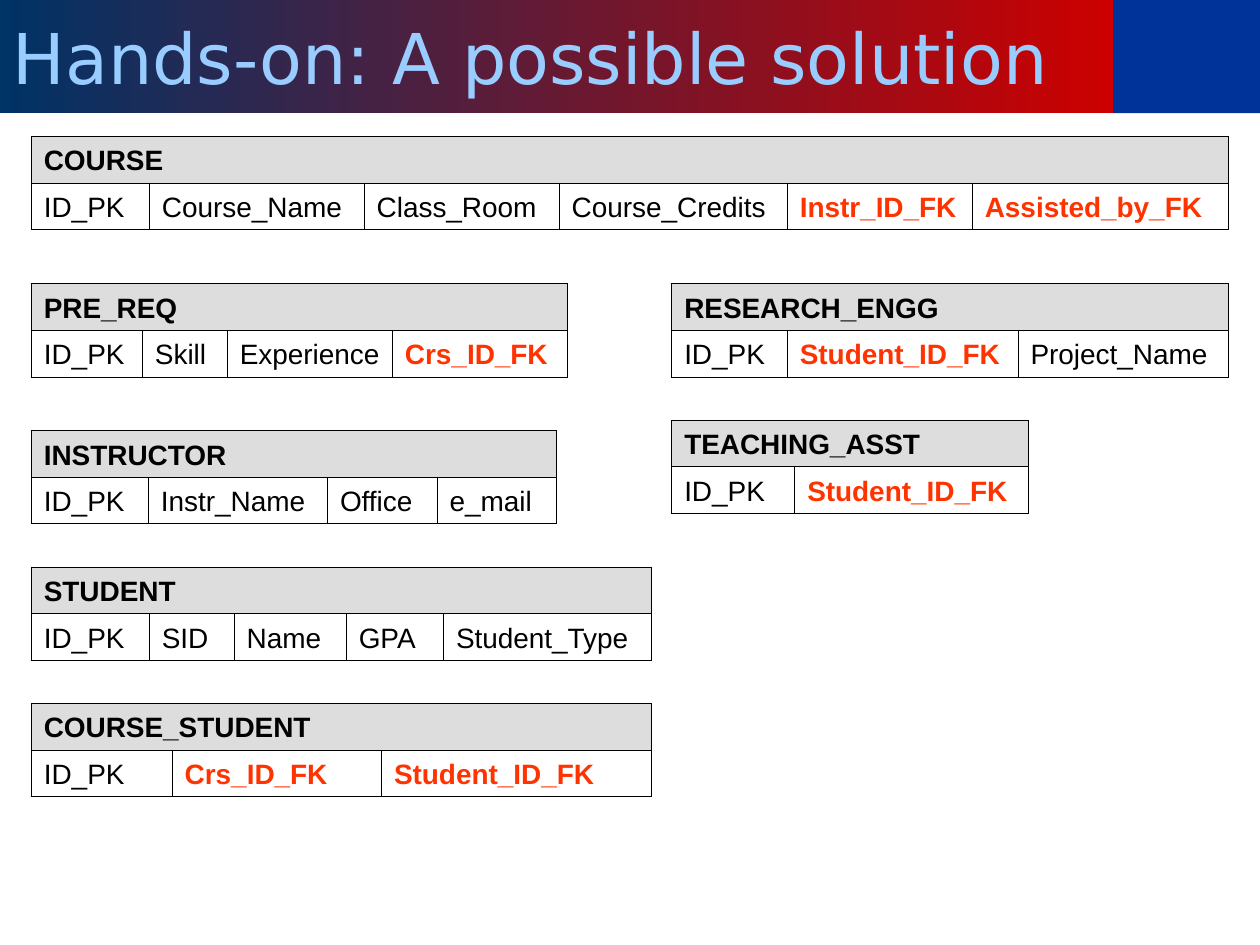
from dataclasses import dataclass

from lxml.etree import SubElement
from pptx import Presentation
from pptx.dml.color import RGBColor
from pptx.enum.shapes import MSO_SHAPE
from pptx.enum.text import MSO_ANCHOR, MSO_AUTO_SIZE, PP_ALIGN
from pptx.oxml.ns import qn
from pptx.util import Cm, Pt


@dataclass(frozen=True)
class Theme:
    """Colours, fonts and sizes of the slide."""
    title_font: str = "DejaVu Sans"
    body_font: str = "Arial"
    title_size: float = 40
    body_size: float = 16
    border_width: float = 0.45
    title_text: str = "99CCFF"
    band_start: str = "003366"
    band_end: str = "CC0000"
    corner: str = "003399"
    header_fill: str = "DDDDDD"
    text: str = "000000"
    foreign_key: str = "FF3300"


THEME = Theme()
LEFT, RIGHT = 0.63, 13.54
ROW_HEIGHT = 0.94
RELATIONS = [
    ("COURSE", LEFT, 2.75, [
        ("ID_PK", 2.38), ("Course_Name", 4.33), ("Class_Room", 3.93),
        ("Course_Credits", 4.6), ("Instr_ID_FK", 3.73), ("Assisted_by_FK", 5.16)]),
    ("PRE_REQ", LEFT, 5.72, [
        ("ID_PK", 2.24), ("Skill", 1.71), ("Experience", 3.33), ("Crs_ID_FK", 3.53)]),
    ("INSTRUCTOR", LEFT, 8.68, [
        ("ID_PK", 2.36), ("Instr_Name", 3.61), ("Office", 2.21), ("e_mail", 2.4)]),
    ("STUDENT", LEFT, 11.43, [
        ("ID_PK", 2.38), ("SID", 1.71), ("Name", 2.26), ("GPA", 1.96),
        ("Student_Type", 4.19)]),
    ("TEACHING_ASST", RIGHT, 8.47, [("ID_PK", 2.48), ("Student_ID_FK", 4.72)]),
    ("RESEARCH_ENGG", RIGHT, 5.72, [
        ("ID_PK", 2.33), ("Student_ID_FK", 4.65), ("Project_Name", 4.24)]),
    ("COURSE_STUDENT", LEFT, 14.18, [
        ("ID_PK", 2.84), ("Crs_ID_FK", 4.22), ("Student_ID_FK", 5.44)]),
]


def color(value):
    """Return the RGB colour for a hex string."""
    return RGBColor.from_string(value)


def style_span(span, font, size, value, bold=False):
    """Format one run of text."""
    span.font.name = font
    span.font.size = Pt(size)
    span.font.color.rgb = color(value)
    span.font.bold = bold


def add_title_band(page, text, left, top, width, height, corner_width):
    """Place the gradient title and the plain corner at its right end."""
    title_width = width - corner_width
    corner = page.shapes.add_shape(MSO_SHAPE.RECTANGLE, Cm(left + title_width), Cm(top),
                                   Cm(corner_width), Cm(height))
    corner.shadow.inherit = False
    corner.fill.solid()
    corner.fill.fore_color.rgb = color(THEME.corner)
    corner.line.fill.background()

    title = page.shapes.title
    title.left, title.top = Cm(left), Cm(top)
    title.width, title.height = Cm(title_width), Cm(height)
    title.fill.gradient()
    title.fill.gradient_angle = 0
    for stop, position, value in zip(title.fill.gradient_stops, (0, 1),
                                     (THEME.band_start, THEME.band_end)):
        stop.position = position
        stop.color.rgb = color(value)
    frame = title.text_frame
    frame.text = text
    frame.auto_size = MSO_AUTO_SIZE.NONE
    frame.vertical_anchor = MSO_ANCHOR.MIDDLE
    para = frame.paragraphs[0]
    para.alignment = PP_ALIGN.LEFT
    style_span(para.runs[0], THEME.title_font, THEME.title_size, THEME.title_text)


def add_borders(cell):
    """Draw a thin line on all four sides of a cell."""
    properties = cell._tc.get_or_add_tcPr()
    for side in ("a:lnL", "a:lnR", "a:lnT", "a:lnB"):
        line = SubElement(properties, qn(side), w=str(Pt(THEME.border_width)))
        fill = SubElement(line, qn("a:solidFill"))
        SubElement(fill, qn("a:srgbClr"), val=THEME.text)


def write_cell(cell, text, value, bold):
    """Set and format the text of a cell."""
    cell.text_frame.text = text
    cell.vertical_anchor = MSO_ANCHOR.BOTTOM
    style_span(cell.text_frame.paragraphs[0].runs[0], THEME.body_font,
               THEME.body_size, value, bold)


def add_relation(page, name, left, top, fields):
    """Place a relation: its name above a row of fields."""
    width = sum(field_width for _, field_width in fields)
    table = page.shapes.add_table(2, len(fields), Cm(left), Cm(top),
                                  Cm(width), Cm(2 * ROW_HEIGHT)).table
    table.first_row = table.horz_banding = False
    for row in table.rows:
        row.height = Cm(ROW_HEIGHT)
    for column, (field, field_width) in enumerate(fields):
        table.columns[column].width = Cm(field_width)
        cell = table.cell(1, column)
        add_borders(table.cell(0, column))
        add_borders(cell)
        cell.fill.background()
        is_foreign = field.endswith("_FK")
        write_cell(cell, field, THEME.foreign_key if is_foreign else THEME.text, is_foreign)
    header = table.cell(0, 0)
    header.merge(table.cell(0, len(fields) - 1))
    header.fill.solid()
    header.fill.fore_color.rgb = color(THEME.header_fill)
    write_cell(header, name, THEME.text, True)


def main():
    """Build the deck and save it."""
    deck = Presentation()
    deck.slide_width, deck.slide_height = Cm(25.4), Cm(19.05)
    page = deck.slides.add_slide(deck.slide_layouts[5])
    add_title_band(page, "Hands-on: A possible solution", 0, 0, 25.4, 2.28, 2.96)
    for relation in RELATIONS:
        add_relation(page, *relation)
    deck.save("out.pptx")


if __name__ == "__main__":
    main()
